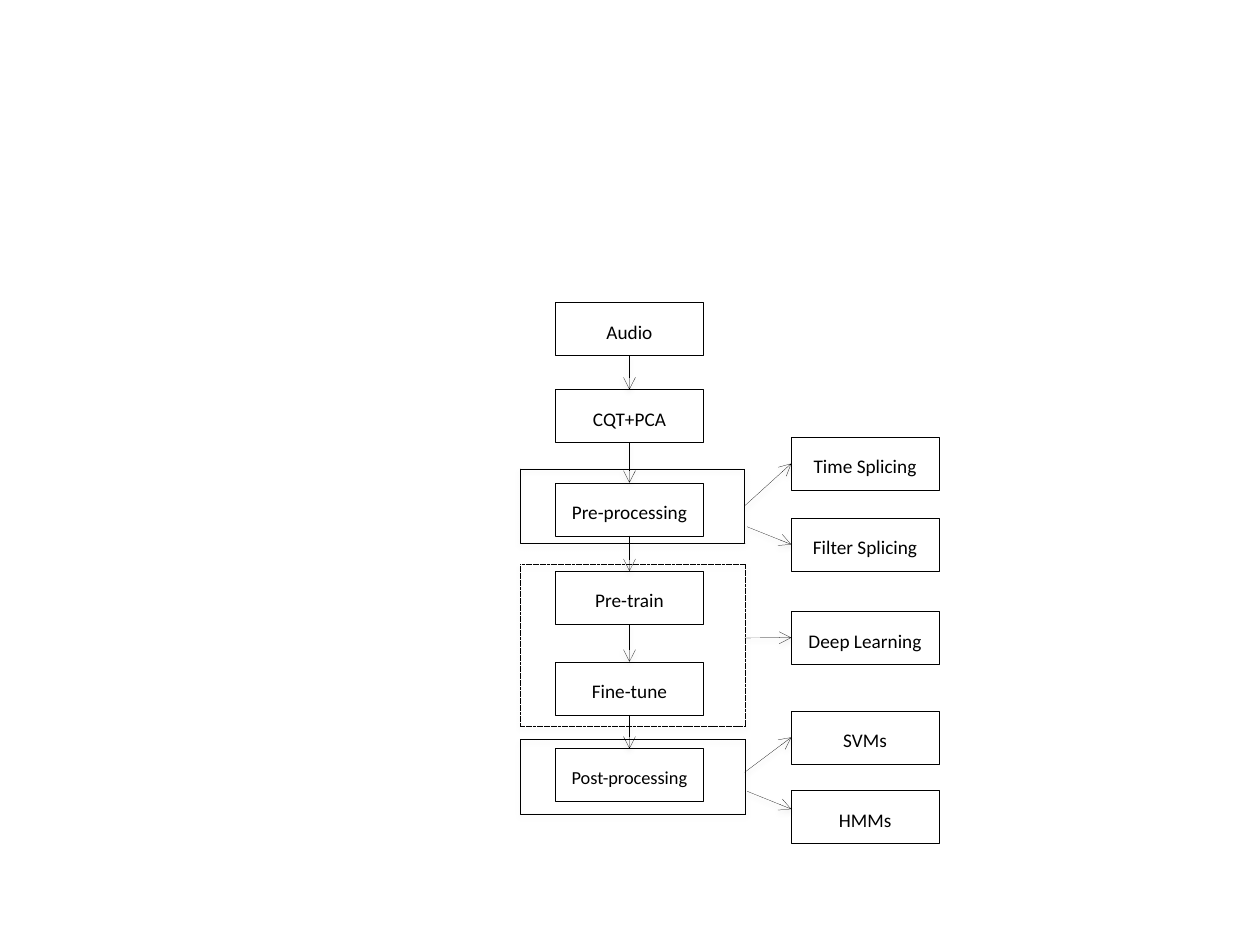
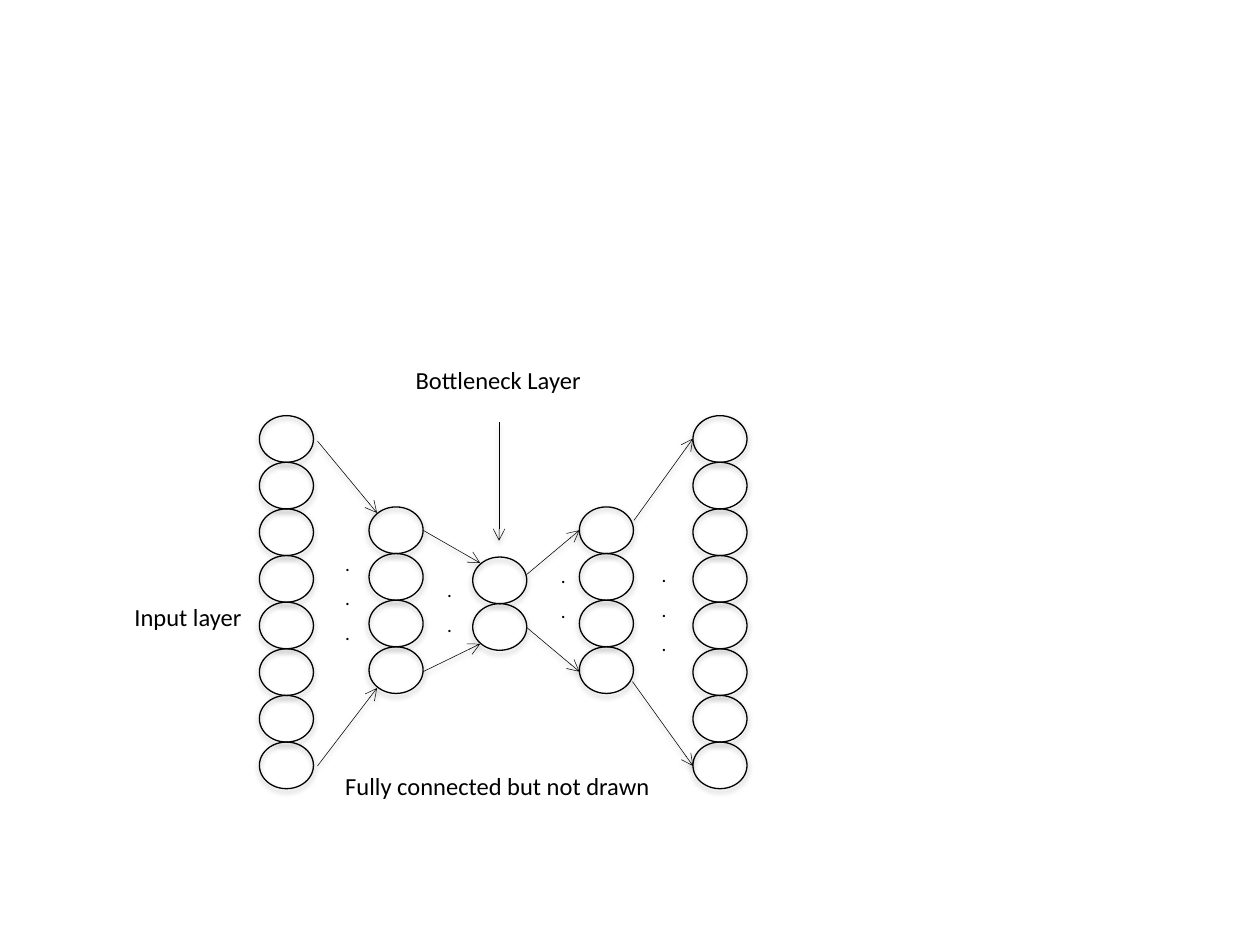
from lxml import etree
from pptx import Presentation
from pptx.dml.color import RGBColor
from pptx.enum.dml import MSO_LINE
from pptx.enum.shapes import MSO_CONNECTOR, MSO_SHAPE
from pptx.enum.text import MSO_ANCHOR, PP_ALIGN
from pptx.oxml.ns import qn
from pptx.util import Cm, Pt

RECT, FRAME, OVAL = MSO_SHAPE.RECTANGLE, MSO_SHAPE.FRAME, MSO_SHAPE.OVAL
STRAIGHT = MSO_CONNECTOR.STRAIGHT
DASH, DASH_DOT = MSO_LINE.DASH, MSO_LINE.DASH_DOT
LEFT, CENTER = PP_ALIGN.LEFT, PP_ALIGN.CENTER
TOP, LEFT_SIDE, BOTTOM, RIGHT_SIDE = range(4)

COLORS = {"ink": "000000", "paper": "FFFFFF", "frame": "EEECE1"}
INK = RGBColor.from_string(COLORS["ink"])
PAPER = RGBColor.from_string(COLORS["paper"])
THIN, ARROW, NODE = Pt(0.1), Pt(0.3), Pt(0.75)
CENTERED = {"alignment": CENTER, "line_spacing": 1.5}
PLAIN = {"alignment": LEFT}

prs = Presentation()
prs.slide_width, prs.slide_height = Cm(25.4), Cm(19.05)
blank = prs.slide_layouts[6]
shadowed = []


def write(tf, lines, size, layout):
    tf.vertical_anchor = MSO_ANCHOR.TOP
    for i, line in enumerate(lines):
        p = tf.paragraphs[0] if i == 0 else tf.add_paragraph()
        for name, value in layout.items():
            setattr(p, name, value)
        r = p.add_run()
        r.text = line
        for name, value in {"name": "Calibri", "size": Pt(size)}.items():
            setattr(r.font, name, value)
        r.font.color.rgb = INK


def add_arrow(s, x1, y1, x2, y2, width):
    c = s.shapes.add_connector(STRAIGHT, Cm(x1), Cm(y1), Cm(x2), Cm(y2))
    c.line.color.rgb = INK
    c.line.width = width
    etree.SubElement(c.line._get_or_add_ln(), qn("a:tailEnd"), type="arrow")
    shadowed.append((c, 38, 1.6))
    return c


s = prs.slides.add_slide(blank)
main_x, side_x, box_w, box_h = 11.2, 15.95, 2.98, 1.07
steps = [("Audio", main_x, 6.1, 11), ("CQT+PCA", main_x, 7.85, 11),
         ("Pre-processing", main_x, 9.73, 11), ("Pre-train", main_x, 11.51, 11),
         ("Fine-tune", main_x, 13.34, 11), ("Post-processing", main_x, 15.09, 10.5),
         ("Time Splicing", side_x, 8.81, 11), ("Filter Splicing", side_x, 10.44, 11),
         ("Deep Learning", side_x, 12.32, 11), ("SVMs", side_x, 14.33, 11),
         ("HMMs", side_x, 15.93, 11)]
boxes = {}
for label, x, y, size in steps:
    sp = s.shapes.add_shape(RECT, Cm(x), Cm(y), Cm(box_w), Cm(box_h))
    sp.fill.solid()
    sp.fill.fore_color.rgb = PAPER
    sp.line.color.rgb = INK
    sp.line.width = THIN
    sp.shadow.inherit = False
    write(sp.text_frame, [label], size, CENTERED)
    boxes[label] = sp

frames = []
for y, w, h, dash in [(9.45, 4.52, 1.5, DASH), (11.38, 4.54, 3.25, DASH),
                      (14.91, 4.54, 1.5, DASH_DOT)]:
    sp = s.shapes.add_shape(FRAME, Cm(10.49), Cm(y), Cm(w), Cm(h))
    sp.adjustments[0] = 0
    sp.fill.solid()
    sp.fill.fore_color.rgb = RGBColor.from_string(COLORS["frame"])
    color = sp.fill._xPr.find(qn("a:solidFill"))[0]
    etree.SubElement(color, qn("a:alpha"), val="75000")
    sp.line.color.rgb = INK
    sp.line.width = THIN
    sp.line.dash_style = dash
    shadowed.append((sp, 35, 1.8))
    frames.append(sp)

column = [boxes[label] for label, x, y, size in steps if x == main_x]
for upper, lower in zip(column, column[1:]):
    c = add_arrow(s, 0, 0, 1, 1, THIN)
    c.begin_connect(upper, BOTTOM)
    c.end_connect(lower, TOP)

branches = {"Time Splicing": (15.01, 10.2), "Filter Splicing": (15.06, 10.62),
            "Deep Learning": (15.01, 12.86), "SVMs": (15.01, 15.57)}
for label, (x, y) in branches.items():
    c = add_arrow(s, x, y, side_x, y, THIN)
    c.end_connect(boxes[label], LEFT_SIDE)
    if label == "Time Splicing":
        c.begin_connect(frames[0], RIGHT_SIDE)
add_arrow(s, 15.06, 15.95, side_x, 16.31, THIN)

s = prs.slides.add_slide(blank)
node_w, node_h = 1.09, 0.94
layers = [(5.23, 8.38, 8), (7.44, 10.22, 4), (9.53, 11.23, 2),
          (11.68, 10.22, 4), (13.97, 8.38, 8)]
for x, y, count in layers:
    for i in range(count):
        sp = s.shapes.add_shape(OVAL, Cm(x), Cm(y + i * node_h), Cm(node_w), Cm(node_h))
        sp.fill.background()
        sp.line.color.rgb = INK
        sp.line.width = NODE
        shadowed.append((sp, 35, 1.8))

for ends in [(6.4, 8.89, 7.6, 10.34), (6.4, 15.44, 7.6, 13.87),
             (8.53, 10.69, 9.68, 11.35), (8.53, 13.54, 9.68, 12.98),
             (10.62, 11.58, 11.68, 10.69), (10.62, 12.65, 11.68, 13.54),
             (12.75, 13.74, 13.97, 15.44), (12.78, 10.49, 13.97, 8.84),
             (10.06, 8.51, 10.06, 10.9)]:
    add_arrow(s, *ends, ARROW)

texts = [(6.65, 10.77, 0.71, 2.34, ["."] * 3, 11, CENTERED),
         (13.03, 11, 0.71, 2.34, ["."] * 3, 11, CENTERED),
         (11, 11.02, 0.71, 1.63, ["."] * 2, 11, CENTERED),
         (8.71, 11.3, 0.71, 1.63, ["."] * 2, 11, CENTERED),
         (8.13, 7.24, 3.89, 0.86, ["Bottleneck Layer"], 14, PLAIN),
         (6.71, 15.42, 6.73, 0.86, ["Fully connected but not drawn"], 14, PLAIN),
         (2.46, 12.01, 2.72, 0.86, ["Input layer"], 14, PLAIN)]
for x, y, w, h, lines, size, layout in texts:
    sp = s.shapes.add_textbox(Cm(x), Cm(y), Cm(w), Cm(h))
    sp.text_frame.word_wrap = False
    write(sp.text_frame, lines, size, layout)

for sp, alpha, distance in shadowed:
    effects = etree.SubElement(sp._element.spPr, qn("a:effectLst"))
    shadow = etree.SubElement(effects, qn("a:outerShdw"), blurRad=str(Pt(3.1)),
                              dist=str(Pt(distance)), dir="5400000", rotWithShape="0")
    color = etree.SubElement(shadow, qn("a:srgbClr"), val=COLORS["ink"])
    etree.SubElement(color, qn("a:alpha"), val=str(alpha * 1000))

prs.save("out.pptx")
